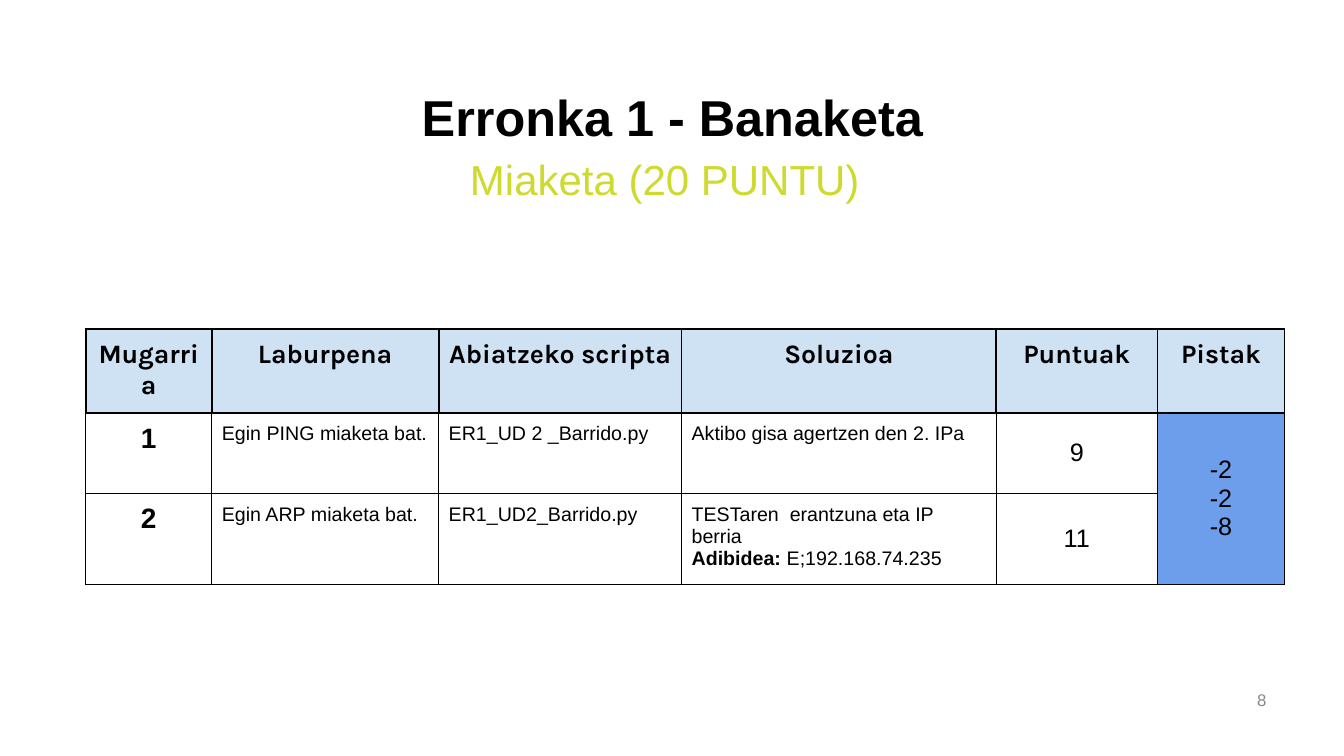
"""Build the slide with the scan challenge table."""
from lxml import etree
from pptx import Presentation
from pptx.dml.color import RGBColor
from pptx.enum.text import MSO_ANCHOR, PP_ALIGN
from pptx.oxml.ns import qn
from pptx.util import Inches, Pt

LEFT, CENTER, RIGHT = PP_ALIGN.LEFT, PP_ALIGN.CENTER, PP_ALIGN.RIGHT
TOP, MIDDLE = MSO_ANCHOR.TOP, MSO_ANCHOR.MIDDLE
COLORS = {"ink": "000000", "lime": "CEDA2E", "gray": "888888",
          "head": "CFE2F3", "hint": "6D9EEB"}


def style(para, size, align, bold=False, color="ink", face="Arial"):
    para.alignment = align
    font = para.font
    font.size, font.name = Pt(size), face
    font.bold = bold
    font.color.rgb = RGBColor.from_string(COLORS[color])


def border(cell, top, rest):
    props = cell._tc.get_or_add_tcPr()
    for side in "LRTB":
        width = top if side == "T" else rest
        line = etree.SubElement(props, qn(f"a:ln{side}"), w=str(Pt(width)))
        fill = etree.SubElement(line, qn("a:solidFill"))
        etree.SubElement(fill, qn("a:srgbClr"), val=COLORS["ink"])


prs = Presentation()
prs.slide_width, prs.slide_height = Inches(13.33), Inches(7.5)
slide = prs.slides.add_slide(prs.slide_layouts[5])

title = slide.shapes.title
title.left, title.top = Inches(0.67), Inches(0.84)
title.width, title.height = Inches(12), Inches(0.63)
title.text_frame.text = "Erronka 1 - Banaketa"
title.text_frame.vertical_anchor = MIDDLE
style(title.text_frame.paragraphs[0], 36, CENTER, True)

labels = [
    ("Miaketa (20 PUNTU)", (0.61, 1.47, 11.97, 0.47), TOP, 30, CENTER, "lime", 6),
    ("8", (9.55, 6.74, 3.11, 0.4), MIDDLE, 12, RIGHT, "gray", 0),
]
for text, place, anchor, size, align, color, gap in labels:
    box = slide.shapes.add_textbox(*[Inches(n) for n in place])
    frame = box.text_frame
    frame.word_wrap = True
    frame.vertical_anchor = anchor
    frame.text = text
    para = frame.paragraphs[0]
    para.space_before = Pt(gap)
    style(para, size, align, color=color)

rows = [
    ["Mugarria", "Laburpena", "Abiatzeko scripta", "Soluzioa", "Puntuak", "Pistak"],
    ["1", "Egin PING miaketa bat.", "ER1_UD 2 _Barrido.py",
     "Aktibo gisa agertzen den 2. IPa", "9", "-2\n-2\n-8"],
    ["2", "Egin ARP miaketa bat.", "ER1_UD2_Barrido.py",
     "TESTaren  erantzuna eta IP berria", "11", ""],
]
widths = [1.25, 2.25, 2.41, 3.12, 1.6, 1.26]
heights = [0.81, 0.8, 0.86]
table = slide.shapes.add_table(
    len(rows), len(widths), Inches(0.85), Inches(3.26),
    Inches(sum(widths)), Inches(sum(heights))).table
table.first_row = table.horz_banding = False
for col, width in zip(table.columns, widths):
    col.width = Inches(width)
for row, height in zip(table.rows, heights):
    row.height = Inches(height)
table.cell(1, 5).merge(table.cell(2, 5))

looks = [(20, CENTER, True)] + [(14, LEFT)] * 3 + [(18, CENTER)] * 2
for r, texts in enumerate(rows):
    for c, text in enumerate(texts):
        cell = table.cell(r, c)
        cell.margin_left = cell.margin_right = Inches(0.1)
        cell.margin_top = cell.margin_bottom = Inches(0.1)
        cell.vertical_anchor = MIDDLE if r and c > 3 else TOP
        border(cell, 0.75 if r == 2 else 1.5, 0.75 if r else 1.5)
        if r and c < 5:
            cell.fill.background()
        else:
            cell.fill.solid()
            shade = COLORS["hint" if r else "head"]
            cell.fill.fore_color.rgb = RGBColor.from_string(shade)
        if not text:
            continue
        cell.text_frame.text = text
        for para in cell.text_frame.paragraphs:
            if r:
                style(para, *looks[c])
            else:
                style(para, 19, CENTER, True, face="Karla")

sample = table.cell(2, 3).text_frame.add_paragraph()
style(sample, *looks[3])
lead = sample.add_run()
lead.text = "Adibidea: "
lead.font.bold = True
sample.add_run().text = "E;192.168.74.235"

prs.save("out.pptx")
